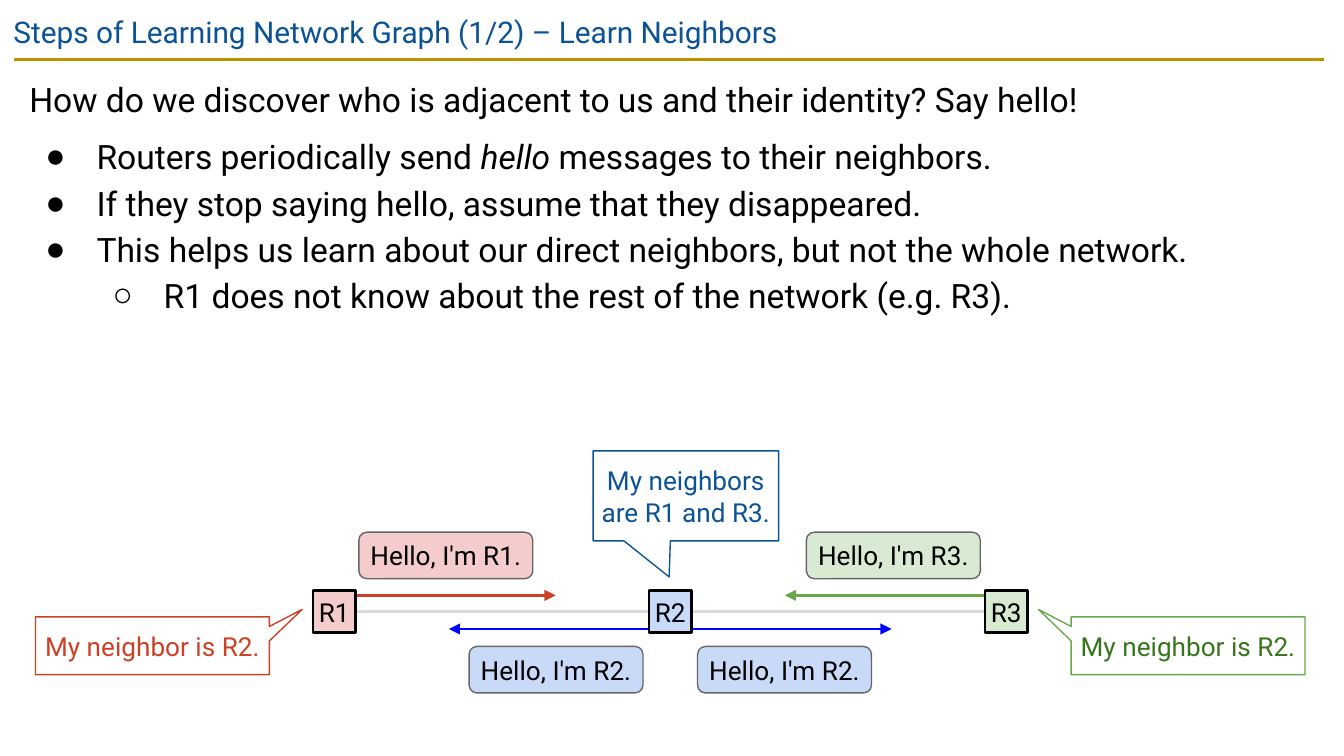
from typing import NamedTuple

from lxml import etree
from pptx import Presentation
from pptx import util as u
from pptx.dml.color import RGBColor
from pptx.enum import shapes, text
from pptx.oxml.ns import qn

FONT = "Roboto"
BULLET_FONT = "Arial"
CELL = 0.1  # inches; the slide is a grid of 100 columns by 56.25 rows
COLORS = {
    "black": "000000", "navy": "0B5394", "gold": "BF9000", "link": "D9D9D9",
    "border": "666666", "red": "CC4125", "green": "6AA84F", "dark_green": "38761D",
    "blue": "0000FF", "pale_red": "F4CCCC", "pale_blue": "C9DAF8", "pale_green": "D9EAD3",
}
ROUTER_SIZE, ROUTER_ROW = 3.14, 43.95
HELLO_WIDTH, HELLO_HEIGHT = 12.94, 3.46
ARROW_LENGTH = 14.9
UPPER_ARROW_ROW, LOWER_ARROW_ROW = 44.3, 46.8
UPPER_HELLO_ROW, LOWER_HELLO_ROW = 39.6, 48.1


class Router(NamedTuple):
    name: str
    column: float
    fill: str


class Hello(NamedTuple):
    sender: Router
    column: float
    row: float
    arrow_row: float
    direction: int  # 1 sends to the right, -1 to the left
    color: str


class Callout(NamedTuple):
    words: str
    box: tuple[float, float, float, float]
    tip: tuple[float, float]
    line: str
    color: str


class Point(NamedTuple):
    runs: tuple[str, ...]  # every second run is italic
    bullet: str = ""
    level: int = 0
    space_before: int = 0


R1 = Router("R1", 23.3, "pale_red")
R2 = Router("R2", 48.3, "pale_blue")
R3 = Router("R3", 73.3, "pale_green")
ROUTERS = (R1, R2, R3)

HELLOS = (
    Hello(R2, 34.9, LOWER_HELLO_ROW, LOWER_ARROW_ROW, -1, "blue"),
    Hello(R2, 51.9, LOWER_HELLO_ROW, LOWER_ARROW_ROW, 1, "blue"),
    Hello(R1, 26.7, UPPER_HELLO_ROW, UPPER_ARROW_ROW, 1, "red"),
    Hello(R3, 60, UPPER_HELLO_ROW, UPPER_ARROW_ROW, -1, "green"),
)

CALLOUTS = (
    Callout("My neighbor is R2.", (2.65, 45.9, 17.4, 4.3), (0.64, -0.63), "red", "red"),
    Callout("My neighbor is R2.", (79.7, 45.9, 17.4, 4.3), (-0.64, -0.63), "green", "dark_green"),
    Callout("My neighbors are R1 and R3.", (44.13, 33.55, 13.8, 6.7), (-0.09, 0.9), "navy", "navy"),
)

POINTS = (
    Point(("How do we discover who is adjacent to us and their identity? Say hello!",)),
    Point(("Routers periodically send ", "hello", " messages to their neighbors."), "●", 0, 6),
    Point(("If they stop saying hello, assume that they disappeared.",), "●"),
    Point(("This helps us learn about our direct neighbors, but not the whole network.",), "●"),
    Point(("R1 does not know about the rest of the network (e.g. R3).",), "○", 1),
)


def grid(*cells: float) -> list[int]:
    return [u.Inches(cell * CELL) for cell in cells]


def rgb(name: str) -> RGBColor:
    return RGBColor.from_string(COLORS[name])


def write(paragraph, words: str, *, size=14, color="black", italic=False) -> None:
    run = paragraph.add_run()
    run.text = words
    run.font.name = FONT
    run.font.size = u.Pt(size)
    run.font.italic = italic
    run.font.color.rgb = rgb(color)


def set_frame(frame, inset: float, anchor) -> None:
    frame.word_wrap = True
    frame.auto_size = text.MSO_AUTO_SIZE.NONE
    frame.vertical_anchor = anchor
    frame.margin_left = frame.margin_right = u.Inches(inset)
    frame.margin_top = frame.margin_bottom = u.Inches(inset)


def draw_line(slide, start, end, color: str, arrow=False):
    line = slide.shapes.add_connector(
        shapes.MSO_CONNECTOR.STRAIGHT, *grid(*start), *grid(*end))
    line.line.color.rgb = rgb(color)
    line.line.width = u.Pt(1.5)
    properties = line._element.spPr
    if arrow:
        etree.SubElement(properties.find(qn("a:ln")), qn("a:tailEnd"), type="triangle")
    etree.SubElement(properties, qn("a:effectLst"))
    return line


def draw_box(slide, kind, box, words: str, *, fill="", line="black", width=0.75,
             color="black", adjustments=()):
    shape = slide.shapes.add_shape(kind, *grid(*box))
    shape.shadow.inherit = False
    for index, value in enumerate(adjustments):
        shape.adjustments[index] = value
    if fill:
        shape.fill.solid()
        shape.fill.fore_color.rgb = rgb(fill)
    else:
        shape.fill.background()
    shape.line.color.rgb = rgb(line)
    shape.line.width = u.Pt(width)
    set_frame(shape.text_frame, 0, text.MSO_ANCHOR.MIDDLE)
    paragraph = shape.text_frame.paragraphs[0]
    paragraph.alignment = text.PP_ALIGN.CENTER
    write(paragraph, words, color=color)
    return shape


def add_bullet(paragraph, point: Point) -> None:
    properties = paragraph._p.get_or_add_pPr()
    properties.set("marL", str(u.Inches(0.5 * (point.level + 1))))
    properties.set("indent", str(u.Inches(-0.38)))
    bullet_color = etree.SubElement(properties, qn("a:buClr"))
    etree.SubElement(bullet_color, qn("a:srgbClr"), val=COLORS["black"])
    etree.SubElement(properties, qn("a:buFont"), typeface=BULLET_FONT)
    etree.SubElement(properties, qn("a:buChar"), char=point.bullet)


def draw_title(slide, words: str) -> None:
    title = slide.shapes.title
    title.left, title.top, title.width, title.height = grid(0, 0, 100, 4.3)
    set_frame(title.text_frame, 0.1, text.MSO_ANCHOR.TOP)
    paragraph = title.text_frame.paragraphs[0]
    paragraph.alignment = text.PP_ALIGN.LEFT
    write(paragraph, words, size=16, color="navy")
    draw_line(slide, (1.04, 4.43), (98.5, 4.43), "gold")


def draw_points(slide) -> None:
    frame = slide.shapes.add_textbox(*grid(1.2, 4.4, 97.4, 24.7)).text_frame
    set_frame(frame, 0.1, text.MSO_ANCHOR.TOP)
    for index, point in enumerate(POINTS):
        paragraph = frame.add_paragraph() if index else frame.paragraphs[0]
        paragraph.level = point.level
        if point.bullet:
            add_bullet(paragraph, point)
        paragraph.line_spacing = 1.15
        paragraph.space_before = u.Pt(point.space_before)
        for position, words in enumerate(point.runs):
            write(paragraph, words, size=18, italic=position % 2 == 1)


def draw_network(slide) -> None:
    middle = ROUTER_ROW + ROUTER_SIZE / 2
    links = [draw_line(slide, (left.column + ROUTER_SIZE, middle), (right.column, middle), "link")
             for left, right in zip(ROUTERS, ROUTERS[1:])]
    for hello in HELLOS:
        start = hello.sender.column + (ROUTER_SIZE if hello.direction > 0 else 0)
        end = start + hello.direction * ARROW_LENGTH
        draw_line(slide, (start, hello.arrow_row), (end, hello.arrow_row), hello.color, arrow=True)
    boxes = [draw_box(slide, shapes.MSO_SHAPE.RECTANGLE,
                      (router.column, ROUTER_ROW, ROUTER_SIZE, ROUTER_SIZE),
                      router.name, fill=router.fill, width=1.5)
             for router in ROUTERS]
    for link, left, right in zip(links, boxes, boxes[1:]):
        link.begin_connect(left, 3)
        link.end_connect(right, 1)
    for hello in HELLOS:
        draw_box(slide, shapes.MSO_SHAPE.ROUNDED_RECTANGLE,
                 (hello.column, hello.row, HELLO_WIDTH, HELLO_HEIGHT),
                 f"Hello, I'm {hello.sender.name}.", fill=hello.sender.fill,
                 line="border", adjustments=(0.17,))
    for callout in CALLOUTS:
        draw_box(slide, shapes.MSO_SHAPE.ROUNDED_RECTANGULAR_CALLOUT, callout.box, callout.words,
                 line=callout.line, color=callout.color, adjustments=(*callout.tip, 0))


def main() -> None:
    presentation = Presentation()
    presentation.slide_width, presentation.slide_height = grid(100, 56.25)
    slide = presentation.slides.add_slide(presentation.slide_layouts[5])
    draw_title(slide, "Steps of Learning Network Graph (1/2) – Learn Neighbors")
    draw_points(slide)
    draw_network(slide)
    presentation.save("out.pptx")


if __name__ == "__main__":
    main()
